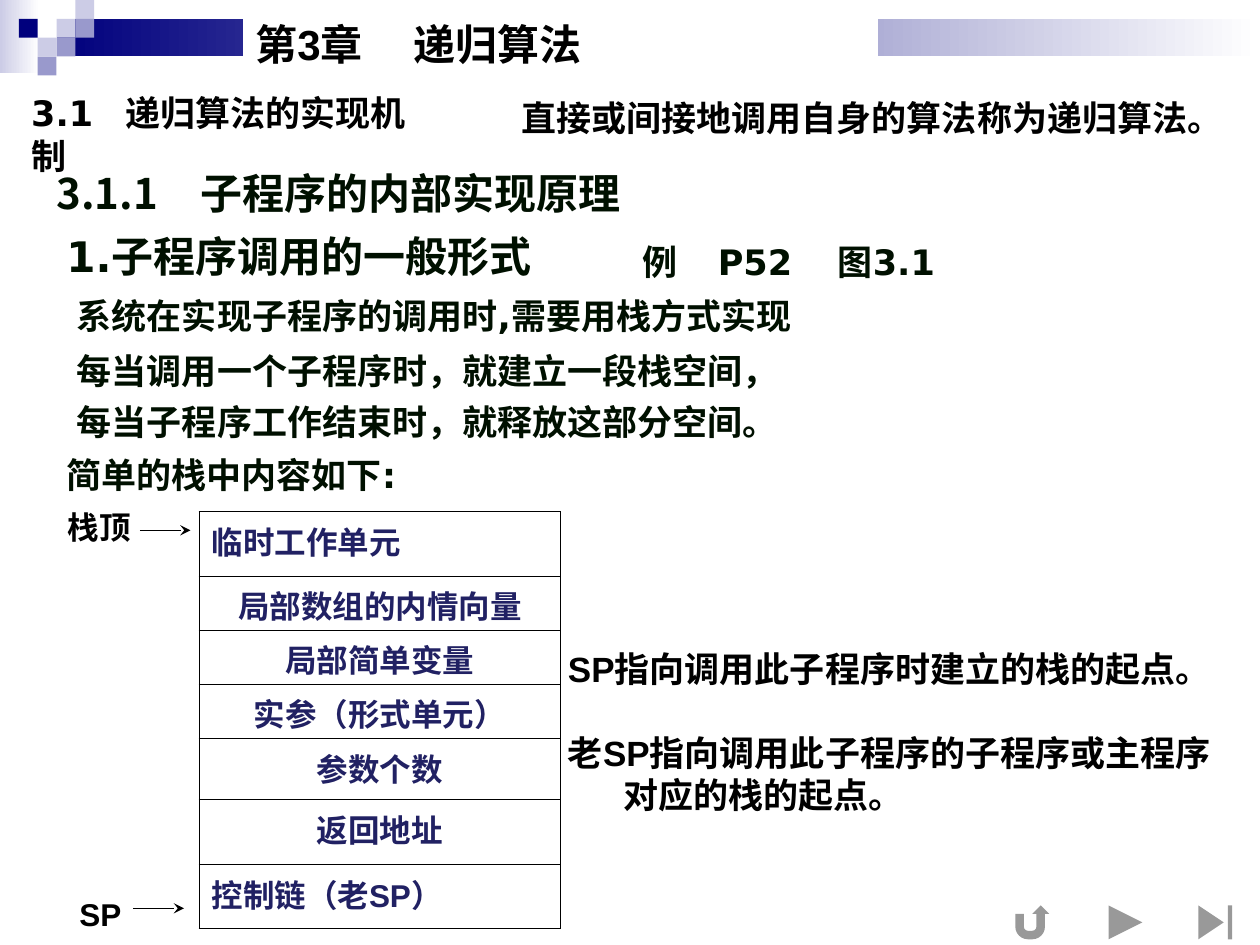
from lxml import etree
from pptx import Presentation
from pptx.dml.color import RGBColor
from pptx.enum.shapes import MSO_CONNECTOR, MSO_SHAPE
from pptx.enum.text import PP_ALIGN
from pptx.oxml.ns import qn
from pptx.util import Cm, Pt

RECT = MSO_SHAPE.RECTANGLE
LINE = MSO_CONNECTOR.STRAIGHT
LEFT, MID = PP_ALIGN.LEFT, PP_ALIGN.CENTER
BACK = MSO_SHAPE.ACTION_BUTTON_RETURN
NEXT = MSO_SHAPE.ACTION_BUTTON_FORWARD_OR_NEXT
END = MSO_SHAPE.ACTION_BUTTON_END
SANS, CJK, ARIAL, TIMES = "DejaVu Sans", "Noto Sans CJK SC", "Arial", "Times New Roman"
HEX = {"white": "FFFFFF", "black": "000000", "green": "001000", "ink": "212163",
       "navy": "00007D", "lilac": "9999CC", "pale": "CCCCE6"}
RGB = {name: RGBColor.from_string(code) for name, code in HEX.items()}

deck = Presentation()
deck.slide_width, deck.slide_height = Cm(25.4), Cm(19.05)
slide = deck.slides.add_slide(deck.slide_layouts[6])
shapes = slide.shapes


def add_form(kind, left, top, width, height, *tints):
    """Add a borderless shape; two tints make a gradient from right to left."""
    form = shapes.add_shape(kind, Cm(left), Cm(top), Cm(width), Cm(height))
    form.shadow.inherit = False
    form.line.fill.background()
    if len(tints) == 2:
        form.fill.gradient()
        form.fill.gradient_angle = 180
        for stop, tint in zip(form.fill.gradient_stops, tints):
            stop.color.rgb = RGB[tint]
    else:
        form.fill.solid()
        form.fill.fore_color.rgb = RGB[tints[0]]


def style(para, size, face, tint):
    """Format every run of a paragraph in bold."""
    for run in para.runs:
        font = run.font
        font.size, font.name, font.bold = Pt(size), face, True
        font.color.rgb = RGB[tint]
        etree.SubElement(font._element, qn("a:ea"), typeface=CJK)


# Header bar and corner mosaic
add_form(RECT, 0, 0, 0.79, 1.47, "white", "pale")
add_form(RECT, 1.14, 0.38, 24.26, 0.76, "white", "navy")
STEP = 0.38
for col, row, tint in [(3, 1, "pale"), (4, 0, "pale"), (4, 1, "lilac"), (2, 2, "pale"),
                       (1, 1, "navy"), (3, 2, "lilac"), (2, 3, "lilac")]:
    add_form(RECT, col * STEP, row * STEP, STEP, STEP, tint)

# Navigation buttons
for kind, left, width in [(BACK, 19.91, 1.8), (NEXT, 21.89, 1.6), (END, 23.7, 1.6)]:
    add_form(kind, left, 18.14, width, 0.91, "white")

# Title panel
add_form(RECT, 4.9, 0.25, 12.8, 1.27, "white")

# Text: left, top, width, height, size, face, colour, tab stops, lines
TEXTS = [
    (4.9, 0.25, 12.8, 1.27, 24, ARIAL, "black", [3.18], ["第3章\t递归算法"]),
    (0.38, 1.73, 8.41, 1.12, 20, SANS, "black", [1.9], ["3.1\t递归算法的实现机制"]),
    (10.26, 1.83, 14.63, 1.12, 20, SANS, "black", [],
     ["直接或间接地调用自身的算法称为递归算法。"]),
    (0.89, 3.25, 14, 1.27, 24, CJK, "green", [], ["3.1.1　子程序的内部实现原理"]),
    (1.09, 4.52, 14.4, 1.27, 24, SANS, "green", [], ["1.子程序调用的一般形式"]),
    (12.7, 4.72, 7.8, 1.12, 20, SANS, "green", [1.52, 3.94], ["例\tP52\t图3.1"]),
    (1.3, 5.82, 17.6, 1.12, 20, SANS, "green", [],
     ["系统在实现子程序的调用时,需要用栈方式实现"]),
    (1.3, 6.93, 14.63, 2.13, 20, SANS, "green", [],
     ["每当调用一个子程序时，就建立一段栈空间，",
      "每当子程序工作结束时，就释放这部分空间。"]),
    (1.09, 9.02, 13, 1.12, 20, SANS, "green", [], ["简单的栈中内容如下:"]),
    (1.12, 10.11, 1.78, 1.02, 18, ARIAL, "black", [], ["栈顶"]),
    (1.35, 17.91, 1.35, 1.02, 18, ARIAL, "black", [], ["SP"]),
    (11.2, 12.93, 13.69, 4.5, 20, ARIAL, "black", [],
     ["SP指向调用此子程序时建立的栈的起点。",
      "老SP指向调用此子程序的子程序或主程序", "对应的栈的起点。"]),
]
for left, top, width, height, size, face, tint, tabs, lines in TEXTS:
    box = shapes.add_textbox(Cm(left), Cm(top), Cm(width), Cm(height))
    frame = box.text_frame
    frame.word_wrap = True
    frame.text = "\n".join(lines)
    for para in frame.paragraphs:
        style(para, size, face, tint)
    if len(lines) == 2:
        frame.paragraphs[1].space_before = Pt(5)
    if len(lines) == 3:
        frame.paragraphs[1].space_before = Pt(24)
        frame.paragraphs[2]._p.get_or_add_pPr().set("marL", str(Cm(1.12)))
    if tabs:
        stops = etree.SubElement(frame.paragraphs[0]._p.get_or_add_pPr(), qn("a:tabLst"))
        for pos in tabs:
            etree.SubElement(stops, qn("a:tab"), pos=str(Cm(pos)), algn="l")

# Stack table
ROWS = [
    (1.3, "临时工作单元", LEFT, CJK),
    (1.09, "局部数组的内情向量", MID, TIMES),
    (1.09, "局部简单变量", MID, TIMES),
    (1.09, "实参（形式单元）", MID, TIMES),
    (1.24, "参数个数", MID, TIMES),
    (1.3, "返回地址", MID, TIMES),
    (1.3, "控制链（老SP）", LEFT, ARIAL),
]
total = sum(row[0] for row in ROWS)
table = shapes.add_table(len(ROWS), 1, Cm(4.01), Cm(10.31), Cm(7.29), Cm(total)).table
table.first_row = table.horz_banding = False
for num, (height, words, align, face) in enumerate(ROWS):
    table.rows[num].height = Cm(height)
    cell = table.cell(num, 0)
    cell.text_frame.text = words
    para = cell.text_frame.paragraphs[0]
    para.alignment = align
    style(para, 18, face, "ink")
    props = cell._tc.get_or_add_tcPr()
    for side in ("a:lnL", "a:lnR", "a:lnT", "a:lnB"):
        edge = etree.SubElement(props, qn(side), w=str(Pt(0.45)))
        paint = etree.SubElement(edge, qn("a:solidFill"))
        etree.SubElement(paint, qn("a:srgbClr"), val=HEX["black"])
    cell.fill.solid()
    cell.fill.fore_color.rgb = RGB["white"]

# Pointer arrows
for left, top in [(2.82, 10.69), (2.69, 18.31)]:
    arrow = shapes.add_connector(LINE, Cm(left), Cm(top), Cm(left + 1.02), Cm(top))
    arrow.line.width = Pt(0.75)
    arrow.line.color.rgb = RGB["black"]
    etree.SubElement(arrow.line._get_or_add_ln(), qn("a:tailEnd"), type="stealth")
    etree.SubElement(arrow._element.spPr, qn("a:effectLst"))

deck.save("out.pptx")
